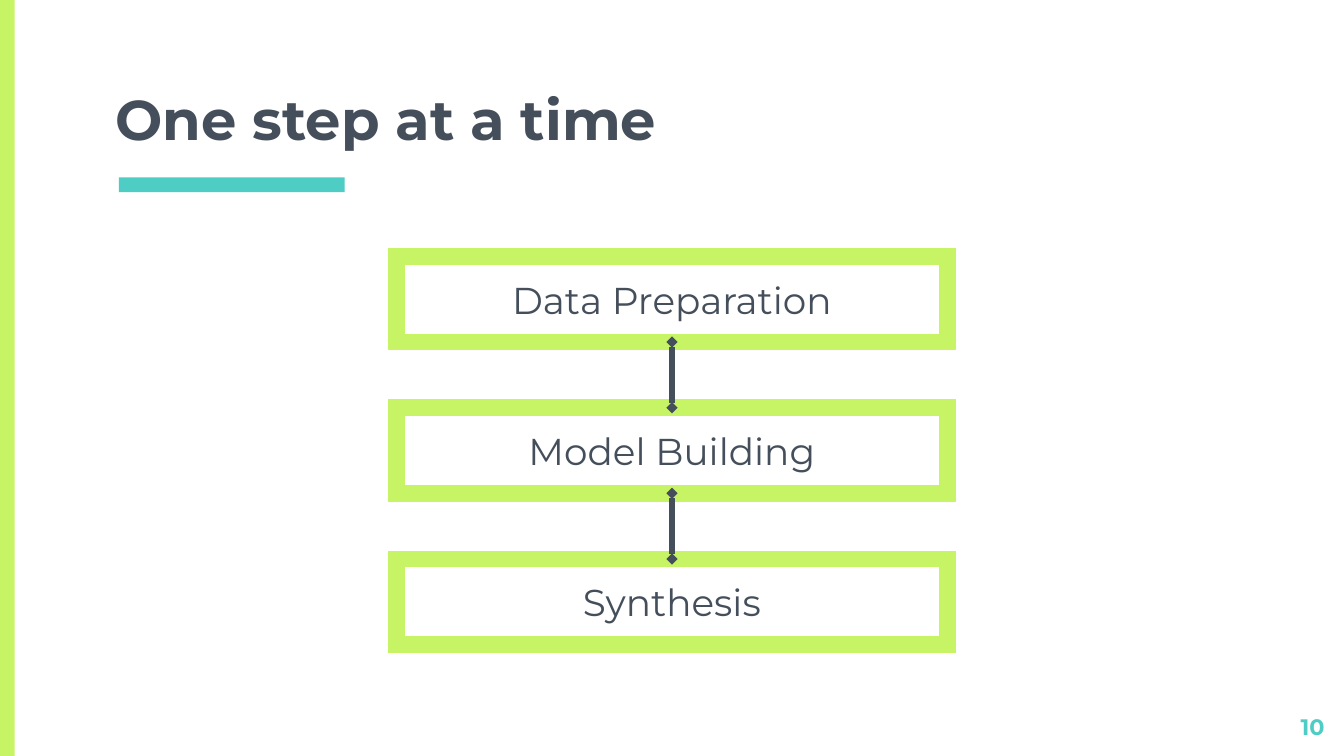
import pptx
import pptx.dml.color
import pptx.enum.shapes
import pptx.enum.text
import pptx.oxml.ns
import pptx.util
from lxml import etree

PX = 4572  # EMU per px, 200 px to the inch
WIDTH, HEIGHT = 2000, 1125
INSET = 20
FONT = "Montserrat"
LIME, TEAL, SLATE = "C7F464", "4ECDC4", "454F5B"
STEPS = ["Data Preparation", "Model Building", "Synthesis"]

ALIGN = pptx.enum.text.PP_ALIGN
ANCHOR = pptx.enum.text.MSO_ANCHOR


def color(value):
    return pptx.dml.color.RGBColor.from_string(value)


def emu(*lengths):
    return [pptx.util.Emu(round(length * PX)) for length in lengths]


def add_line_child(shape, tag, **attributes):
    """Append an element such as a join or an arrowhead to the outline."""
    outline = shape.line._get_or_add_ln()
    etree.SubElement(outline, pptx.oxml.ns.qn(tag), attributes)


def write(shape, text, size, ink, align, anchor, bold=False):
    frame = shape.text_frame
    frame.auto_size = pptx.enum.text.MSO_AUTO_SIZE.NONE
    frame.word_wrap = True
    frame.vertical_anchor = anchor
    frame.margin_left, frame.margin_top, frame.margin_right, frame.margin_bottom = emu(*[INSET] * 4)
    para = frame.paragraphs[0]
    para.alignment = align
    span = para.add_run()
    span.text = text
    span.font.name = FONT
    span.font.size = pptx.util.Pt(size)
    span.font.bold = bold
    span.font.color.rgb = color(ink)


def add_rectangle(page, box):
    shape = page.shapes.add_shape(pptx.enum.shapes.MSO_SHAPE.RECTANGLE, *emu(*box))
    shape.shadow.inherit = False
    return shape


def add_bar(page, box, fill):
    bar = add_rectangle(page, box)
    bar.fill.solid()
    bar.fill.fore_color.rgb = color(fill)
    bar.line.fill.background()


def add_heading(page, box, text):
    left, top, width, height = box
    title = page.shapes.title
    title.left, title.top, title.width, title.height = emu(*box)
    write(title, text, 30, SLATE, ALIGN.LEFT, ANCHOR.BOTTOM, bold=True)
    add_bar(page, (left + 25, top + height + 18, 336, 22), TEAL)


def add_step(page, box, text):
    step = add_rectangle(page, box)
    step.fill.background()
    step.line.color.rgb = color(LIME)
    step.line.width = pptx.util.Pt(9)
    add_line_child(step, "a:miter", lim="800000")
    write(step, text, 20, SLATE, ALIGN.CENTER, ANCHOR.MIDDLE)


def add_link(page, x, start, end):
    link = page.shapes.add_connector(
        pptx.enum.shapes.MSO_CONNECTOR.STRAIGHT, *emu(x, start, x, end))
    link.line.color.rgb = color(SLATE)
    link.line.width = pptx.util.Pt(3)
    for tag in ("a:headEnd", "a:tailEnd"):
        add_line_child(link, tag, type="diamond", w="sm", len="sm")
    etree.SubElement(link._element.spPr, pptx.oxml.ns.qn("a:effectLst"))


def add_process(page, box, labels, step_height=127):
    """Stack the steps evenly down the box and link each to the next."""
    left, top, width, height = box
    pitch = (height - step_height) / (len(labels) - 1)
    tops = [top + index * pitch for index in range(len(labels))]
    for step_top, label in zip(tops, labels):
        add_step(page, (left, step_top, width, step_height), label)
    for upper, lower in zip(tops, tops[1:]):
        add_link(page, left + width / 2, upper + step_height, lower)


def add_page_number(page, box, number):
    label = page.shapes.add_textbox(*emu(*box))
    write(label, number, 12, TEAL, ALIGN.RIGHT, ANCHOR.TOP, bold=True)


def main():
    deck = pptx.Presentation()
    deck.slide_width, deck.slide_height = emu(WIDTH, HEIGHT)
    page = deck.slides.add_slide(deck.slide_layouts.get_by_name("Title Only"))
    add_bar(page, (0, 0, 22, HEIGHT), LIME)
    add_heading(page, (152, 138, 1698, 108), "One step at a time")
    add_process(page, (590, 382, 820, 577), STEPS)
    add_page_number(page, (1871, 1041, 120, 68), "10")
    deck.save("out.pptx")


if __name__ == "__main__":
    main()
